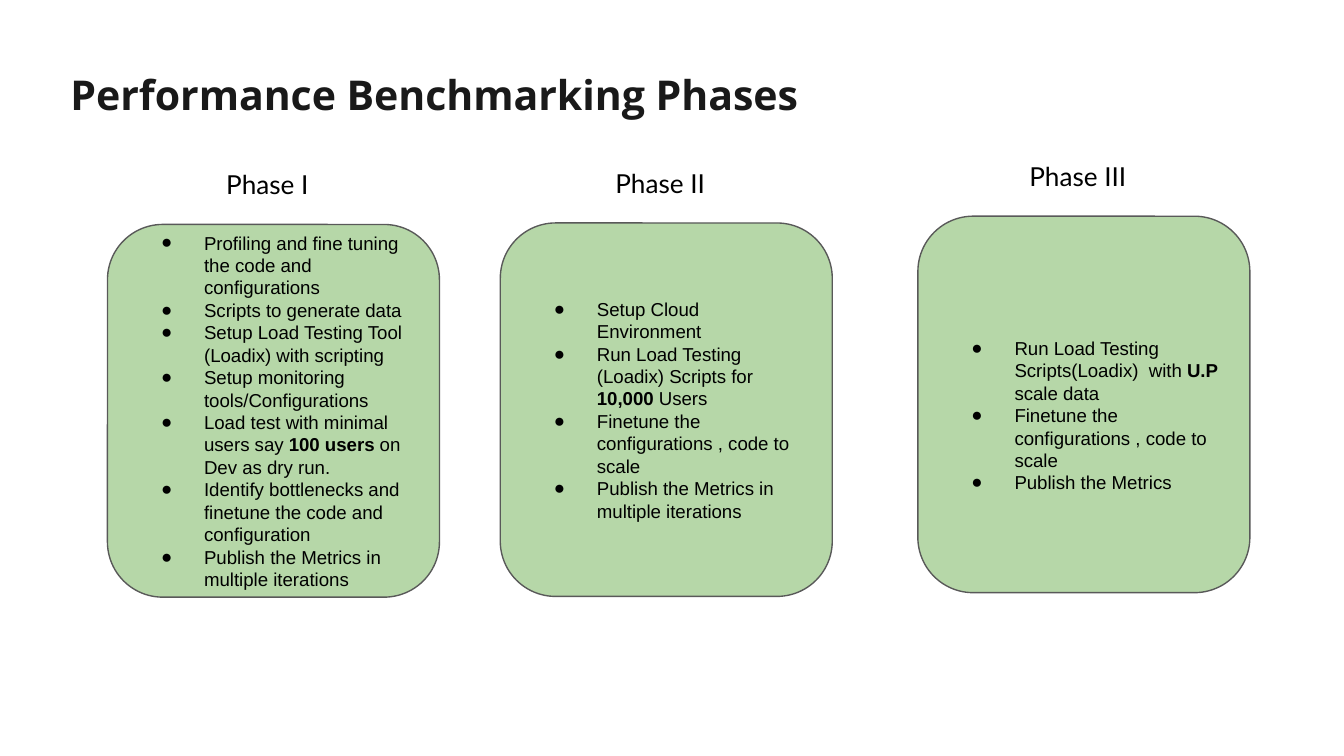
from pptx import Presentation
from pptx.dml.color import RGBColor
from pptx.enum.shapes import MSO_SHAPE as Shape
from pptx.enum.text import MSO_ANCHOR as Anchor, PP_ALIGN as Align
from pptx.oxml.xmlchemy import OxmlElement as Element
from pptx.util import Inches, Pt

BLACK = RGBColor(0x00, 0x00, 0x00)
INK = RGBColor(0x19, 0x19, 0x19)
GREEN = RGBColor(0xB6, 0xD7, 0xA8)
GREY = RGBColor(0x59, 0x59, 0x59)

# Widescreen slide, 16 to 9
deck = Presentation()
deck.slide_width = Inches(10)
deck.slide_height = deck.slide_width * 9 // 16
slide = deck.slides.add_slide(deck.slide_layouts[6])

# Grid: 100 columns and 100 rows
COL = deck.slide_width / 100
ROW = deck.slide_height / 100


def cells(left, top, width, height):
    return [round(n) for n in (left * COL, top * ROW, width * COL, height * ROW)]


def write(frame, paragraphs, font="Arial", size=10, color=BLACK, bold=False,
          align=Align.LEFT, anchor=Anchor.TOP, bullets=False, extra_top=0):
    """Fill a frame; parts of a paragraph between asterisks turn bold."""
    frame.word_wrap = True
    frame.vertical_anchor = anchor
    frame.margin_left = frame.margin_right = frame.margin_bottom = Inches(0.1)
    frame.margin_top = Inches(0.1 + extra_top)
    for index, text in enumerate(paragraphs):
        paragraph = frame.add_paragraph() if index else frame.paragraphs[0]
        paragraph.alignment = align
        if bullets:
            props = paragraph._p.get_or_add_pPr()
            props.set("marL", str(Inches(0.5)))
            props.set("indent", str(Inches(-0.32)))
            for tag, key, value in (("a:buFont", "typeface", font),
                                    ("a:buChar", "char", "●")):
                bullet = Element(tag)
                bullet.set(key, value)
                props.append(bullet)
        for part, words in enumerate(text.split("*")):
            run = paragraph.add_run()
            run.text = words
            run.font.name, run.font.size = font, Pt(size)
            run.font.color.rgb = color
            run.font.bold = bold or part % 2 == 1


# Title
title = slide.shapes.add_textbox(*cells(4.25, 7.4, 93.2, 11.2))
write(title.text_frame, ["Performance Benchmarking Phases"],
      font="Open Sans", size=22, color=INK, bold=True)

# Phases: heading, left column, top row, height in rows, extra space above, steps
phases = [
    ("Phase I", 8, 29.7, 49.3, 0, [
        "Profiling and fine tuning the code and configurations",
        "Scripts to generate data",
        "Setup Load Testing Tool (Loadix) with scripting",
        "Setup monitoring tools/Configurations",
        "Load test with minimal users say *100 users* on Dev as dry run.",
        "Identify bottlenecks and finetune the code and configuration",
        "Publish the Metrics in multiple iterations"]),
    ("Phase II", 37.23, 29.5, 49.4, 0, [
        "Setup Cloud Environment",
        "Run Load Testing (Loadix) Scripts for *10,000 *Users",
        "Finetune the configurations , code to scale",
        "Publish the Metrics in multiple iterations"]),
    ("Phase III", 68.3, 28.6, 49.8, 0.16, [
        "Run Load Testing Scripts(Loadix)  with *U.P *scale data",
        "Finetune the configurations , code to scale",
        "Publish the Metrics"]),
]
for heading, left, top, height, extra_top, steps in phases:
    # Card with its steps
    card = slide.shapes.add_shape(Shape.ROUNDED_RECTANGLE,
                                  *cells(left, top, 24.7, height))
    card.shadow.inherit = False
    card.fill.solid()
    card.fill.fore_color.rgb = GREEN
    card.line.color.rgb = GREY
    card.line.width = Pt(0.75)
    write(card.text_frame, steps, anchor=Anchor.MIDDLE, bullets=True,
          extra_top=extra_top)

    # Heading above the card
    label = slide.shapes.add_textbox(*cells(left + 1.7, top - 9.15, 20.4, 7.8))
    write(label.text_frame, [heading], font="Lato", size=14, align=Align.CENTER)

deck.save("out.pptx")
